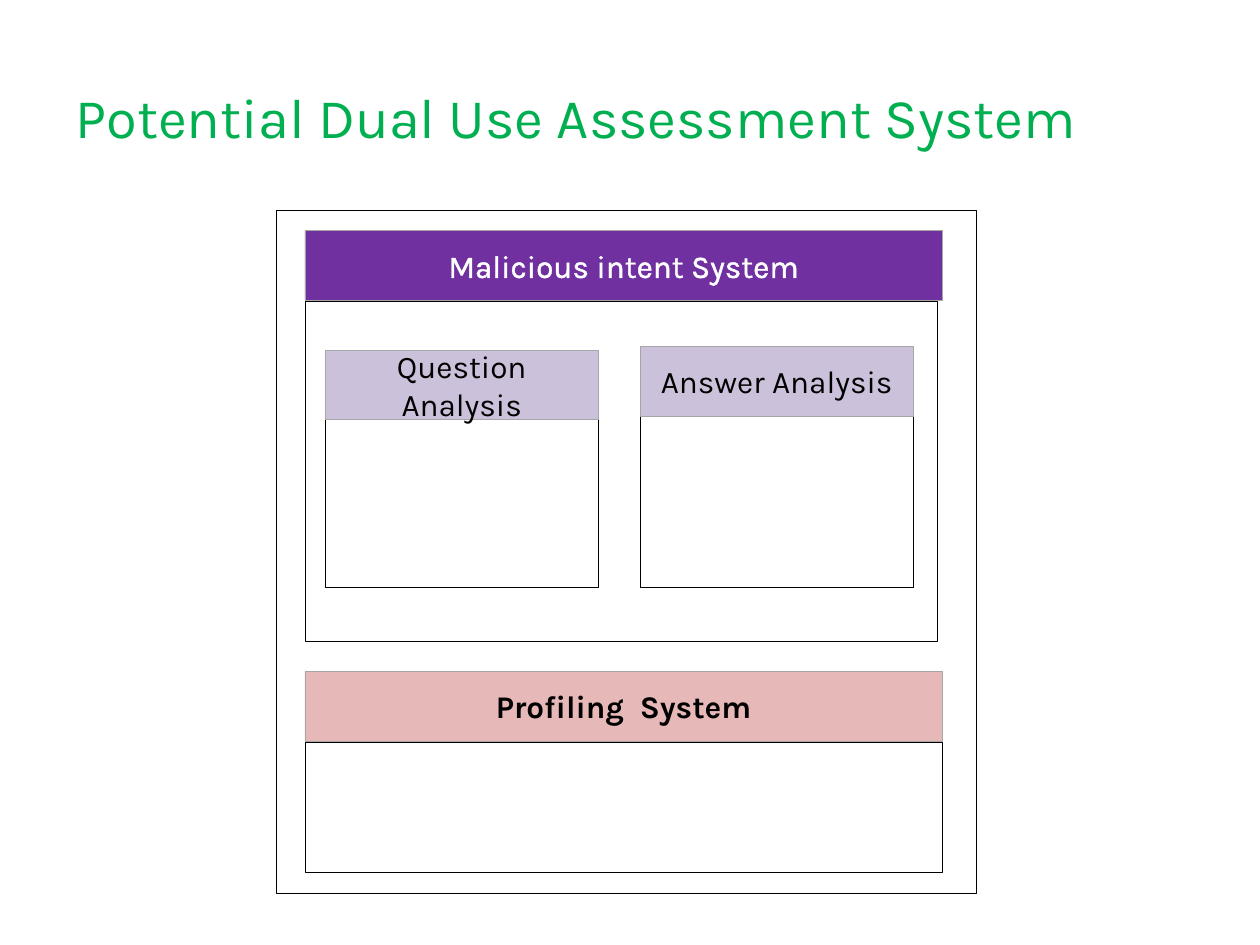
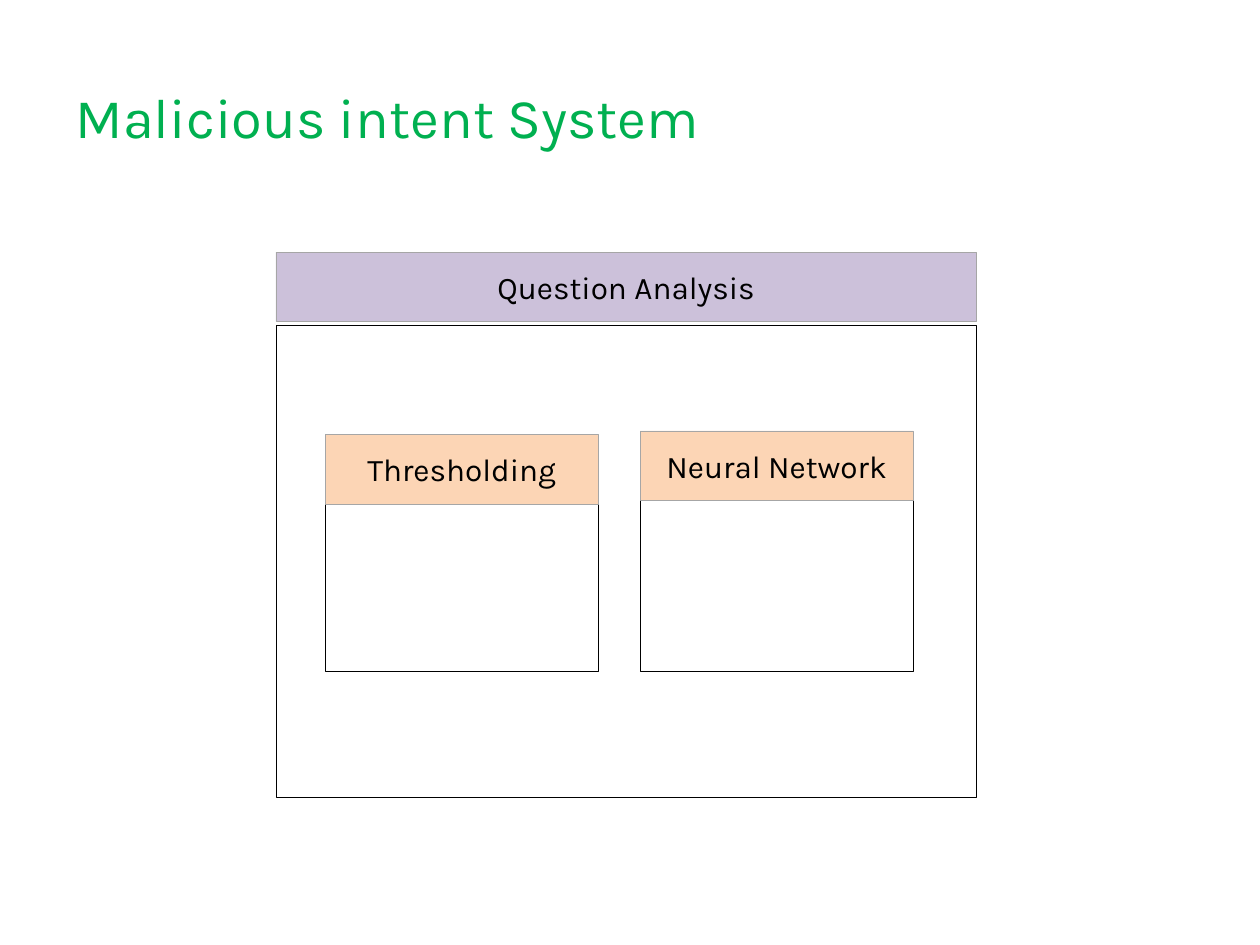
from lxml import etree
from pptx import Presentation
from pptx.dml.color import RGBColor
from pptx.enum.shapes import MSO_SHAPE
from pptx.enum.text import MSO_ANCHOR, PP_ALIGN
from pptx.oxml.ns import qn
from pptx.util import Inches, Pt

RECTANGLE = MSO_SHAPE.RECTANGLE
MIDDLE = MSO_ANCHOR.MIDDLE
LEFT, CENTER = PP_ALIGN.LEFT, PP_ALIGN.CENTER

COLORS = {
    "title": "00B050",
    "black": "000000",
    "white": "FFFFFF",
    "bar_line": "A6A6A6",
    "purple": "7030A0",
    "lavender": "CCC1DA",
    "rose": "E6B9B8",
    "peach": "FCD5B5",
}
FONT = "Karla"
TITLE_ONLY = 5
BAR_HEIGHT = 0.55
FRAME_LEFT, FRAME_WIDTH = 2.19, 5.56
SYSTEM_LEFT, SYSTEM_WIDTH = 2.42, 5.06
PANEL_LEFTS, PANEL_WIDTH, PANEL_HEIGHT = (2.58, 5.08), 2.17, 1.36
PANEL_BAR_RISES = (0.52, 0.55)  # how far each bar starts above its panel


def write_text(shape, text, size=18, color="black", bold=False, align=CENTER, outline=True):
    """Put one formatted line of text in a shape, with an optional letter outline."""
    frame = shape.text_frame
    frame.word_wrap = True
    frame.vertical_anchor = MIDDLE
    para = frame.paragraphs[0]
    para.alignment = align
    span = para.add_run()
    span.text = text
    span.font.name = FONT
    span.font.size = Pt(size)
    span.font.bold = bold
    span.font.color.rgb = RGBColor.from_string(COLORS[color])
    if outline:
        line = etree.Element(qn("a:ln"), w=str(Pt(0.75)))
        fill = etree.SubElement(line, qn("a:solidFill"))
        etree.SubElement(fill, qn("a:srgbClr"), val=COLORS[color])
        span.font._element.insert(0, line)


def add_box(page, left, top, width, height, fill=None, text=None, **text_format):
    """Add an open black frame, or a filled grey-edged bar with a label."""
    box = page.shapes.add_shape(
        RECTANGLE, Inches(left), Inches(top), Inches(width), Inches(height)
    )
    box.shadow.inherit = False
    box.line.width = Pt(0.25)
    box.line.color.rgb = RGBColor.from_string(COLORS["bar_line" if fill else "black"])
    if fill:
        box.fill.solid()
        box.fill.fore_color.rgb = RGBColor.from_string(COLORS[fill])
    else:
        box.fill.background()
    if text:
        write_text(box, text, **text_format)


deck = Presentation()
deck.slide_width, deck.slide_height = Inches(10), Inches(7.5)

# What differs between the slides: frame and system boxes, system bars, panel pair
slides = [
    {
        "title": "Potential Dual Use Assessment System",
        "frames": [
            (FRAME_LEFT, 1.67, FRAME_WIDTH, 5.42),
            (SYSTEM_LEFT, 2.39, 5.02, 2.7),
            (SYSTEM_LEFT, 5.89, SYSTEM_WIDTH, 1.03),
        ],
        "bars": [
            (SYSTEM_LEFT, 1.83, SYSTEM_WIDTH, "purple", "Malicious intent System",
             {"color": "white"}),
            (SYSTEM_LEFT, 5.33, SYSTEM_WIDTH, "rose", "Profiling  System",
             {"bold": True}),
        ],
        "panel_top": 3.3,
        "panel_fill": "lavender",
        "panels": ("Question Analysis", "Answer Analysis"),
    },
    {
        "title": "Malicious intent System",
        "frames": [(FRAME_LEFT, 2.58, FRAME_WIDTH, 3.75)],
        "bars": [(FRAME_LEFT, 2, FRAME_WIDTH, "lavender", "Question Analysis", {})],
        "panel_top": 3.97,
        "panel_fill": "peach",
        "panels": ("Thresholding", "Neural Network"),
    },
]

for content in slides:
    page = deck.slides.add_slide(deck.slide_layouts[TITLE_ONLY])
    title = page.shapes.title
    title.left, title.top = Inches(0.5), Inches(0.3)
    title.width, title.height = Inches(9), Inches(1.25)
    write_text(title, content["title"], size=32, color="title", align=LEFT, outline=False)

    for left, top, width, height in content["frames"]:
        add_box(page, left, top, width, height)
    for left, top, width, fill, label, text_format in content["bars"]:
        add_box(page, left, top, width, BAR_HEIGHT, fill, label, **text_format)

    panel_top = content["panel_top"]
    for left, rise, label in zip(PANEL_LEFTS, PANEL_BAR_RISES, content["panels"]):
        add_box(page, left, panel_top, PANEL_WIDTH, PANEL_HEIGHT)
        add_box(page, left, panel_top - rise, PANEL_WIDTH, BAR_HEIGHT,
                content["panel_fill"], label)

deck.save("out.pptx")
